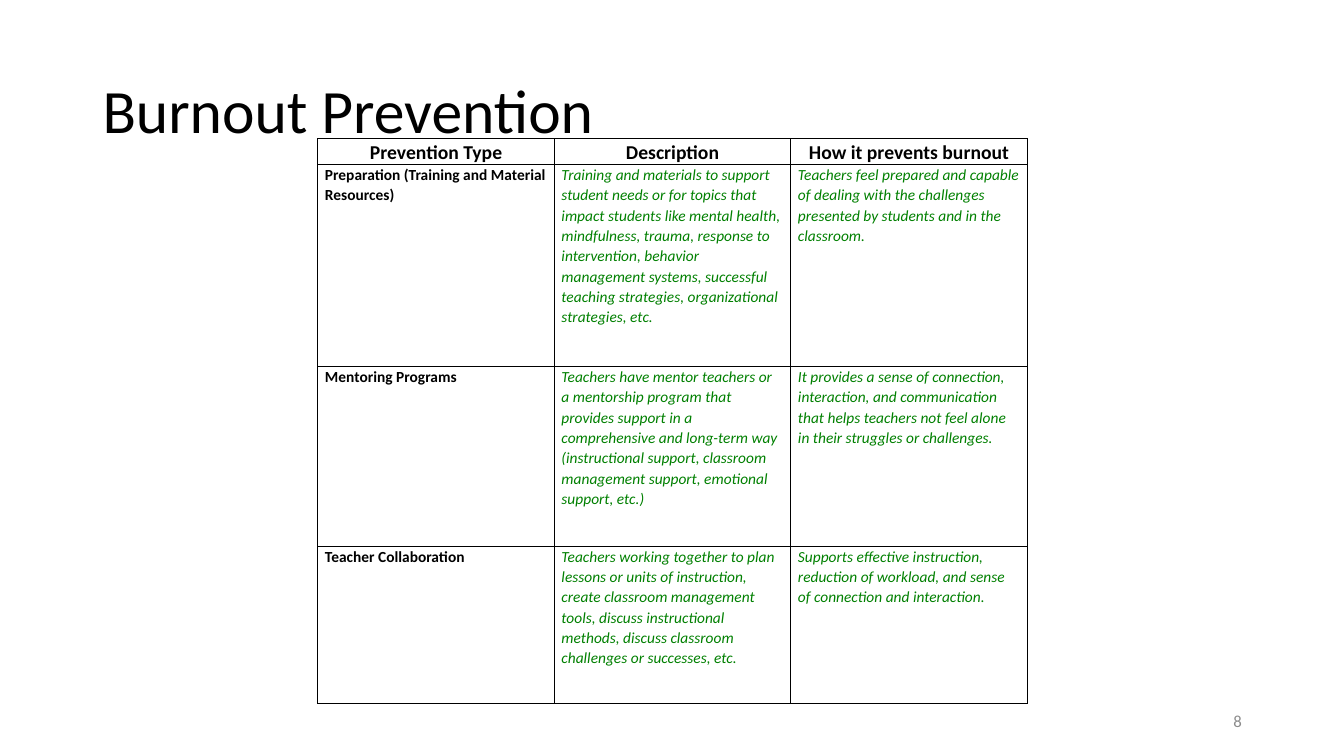
"""Build the Burnout Prevention slide with its table of prevention types."""
from lxml import etree
from pptx import Presentation
from pptx.dml.color import RGBColor
from pptx.enum.text import MSO_ANCHOR, MSO_AUTO_SIZE, PP_ALIGN
from pptx.oxml.ns import qn
from pptx.util import Cm, Pt

LEFT, CENTER, RIGHT = PP_ALIGN.LEFT, PP_ALIGN.CENTER, PP_ALIGN.RIGHT
MIDDLE = MSO_ANCHOR.MIDDLE
NO_FIT = MSO_AUTO_SIZE.NONE

TITLE = "Burnout Prevention"
PAGE_NUMBER = "8"
HEADERS = ["Prevention Type", "Description", "How it prevents burnout"]
PREVENTIONS = [
    (
        "Preparation (Training and Material Resources)",
        "Training and materials to support student needs or for topics that impact "
        "students like mental health, mindfulness, trauma, response to intervention, "
        "behavior management systems, successful teaching strategies, "
        "organizational strategies, etc.",
        "Teachers feel prepared and capable of dealing with the challenges presented "
        "by students and in the classroom.",
    ),
    (
        "Mentoring Programs",
        "Teachers have mentor teachers or a mentorship program that provides support "
        "in a comprehensive and long-term way (instructional support, classroom "
        "management support, emotional support, etc.)",
        "It provides a sense of connection, interaction, and communication that helps "
        "teachers not feel alone in their struggles or challenges.",
    ),
    (
        "Teacher Collaboration",
        "Teachers working together to plan lessons or units of instruction, create "
        "classroom management tools, discuss instructional methods, discuss classroom "
        "challenges or successes, etc.",
        "Supports effective instruction, reduction of workload, and sense of "
        "connection and interaction.",
    ),
]

TITLE_AREA = (Cm(2.33), Cm(1.02), Cm(29.21), Cm(3.68))
TABLE_LEFT, TABLE_TOP = Cm(8.01), Cm(3.5)
COLUMN_WIDTH = Cm(5.96)
ROW_HEIGHTS = [Cm(0.53), Cm(5.09), Cm(4.53), Cm(3.97)]
NUMBER_AREA = (Cm(23.93), Cm(17.65), Cm(7.62), Cm(1.02))
CELL_MARGINS = {
    "margin_left": Cm(0.18), "margin_right": Cm(0.18),
    "margin_top": 0, "margin_bottom": 0,
}

TITLE_FONT = {"size": Pt(44), "color": "000000"}
HEADER_FONT = {"size": Pt(14), "color": "000000", "bold": True}
TYPE_FONT = {"size": Pt(11), "color": "000000", "bold": True}
DETAIL_FONT = {"size": Pt(11), "color": "008000", "bold": False, "italic": True}
NUMBER_FONT = {"size": Pt(12), "color": "8C8C8C"}


def paint(color_format, color):
    """Apply a hex colour."""
    color_format.rgb = RGBColor.from_string(color)


def write(frame, text, style, align=LEFT, spacing=1.0):
    """Write one formatted paragraph into a text frame."""
    frame.word_wrap = True
    para = frame.paragraphs[0]
    para.alignment = align
    para.line_spacing = spacing
    span = para.add_run()
    span.text = text
    span.font.name = "Calibri"
    for name, value in style.items():
        if name == "color":
            paint(span.font.color, value)
        else:
            setattr(span.font, name, value)


def add_borders(cell, color="000000", width=Pt(1)):
    """Draw a solid line on all four sides of a cell."""
    properties = cell._tc.get_or_add_tcPr()
    for side in ("lnL", "lnR", "lnT", "lnB"):
        line = etree.SubElement(properties, qn(f"a:{side}"), w=str(width))
        fill = etree.SubElement(line, qn("a:solidFill"))
        etree.SubElement(fill, qn("a:srgbClr"), val=color)


def add_title(page):
    """Place and fill the title placeholder."""
    title = page.shapes.title
    title.left, title.top, title.width, title.height = TITLE_AREA
    title.text_frame.auto_size = NO_FIT
    title.text_frame.vertical_anchor = MIDDLE
    write(title.text_frame, TITLE, TITLE_FONT, spacing=0.9)


def add_prevention_table(page):
    """Add the table of prevention types."""
    rows = [HEADERS, *PREVENTIONS]
    table = page.shapes.add_table(
        len(rows), len(HEADERS), TABLE_LEFT, TABLE_TOP,
        COLUMN_WIDTH * len(HEADERS), sum(ROW_HEIGHTS),
    ).table
    for column in table.columns:
        column.width = COLUMN_WIDTH
    for row_index, texts in enumerate(rows):
        table.rows[row_index].height = ROW_HEIGHTS[row_index]
        for column_index, text in enumerate(texts):
            cell = table.cell(row_index, column_index)
            for name, value in CELL_MARGINS.items():
                setattr(cell, name, value)
            add_borders(cell)
            cell.fill.background()
            if row_index == 0:
                style, align = HEADER_FONT, CENTER
            else:
                style, align = (DETAIL_FONT if column_index else TYPE_FONT), LEFT
            write(cell.text_frame, text, style, align, spacing=1.07)


def add_page_number(page):
    """Add the page number at the lower right."""
    box = page.shapes.add_textbox(*NUMBER_AREA)
    box.text_frame.vertical_anchor = MIDDLE
    write(box.text_frame, PAGE_NUMBER, NUMBER_FONT, RIGHT)


def main():
    """Build and save the deck."""
    deck = Presentation()
    deck.slide_width, deck.slide_height = Cm(33.87), Cm(19.05)
    page = deck.slides.add_slide(deck.slide_layouts[5])
    add_title(page)
    add_prevention_table(page)
    add_page_number(page)
    deck.save("out.pptx")


if __name__ == "__main__":
    main()
